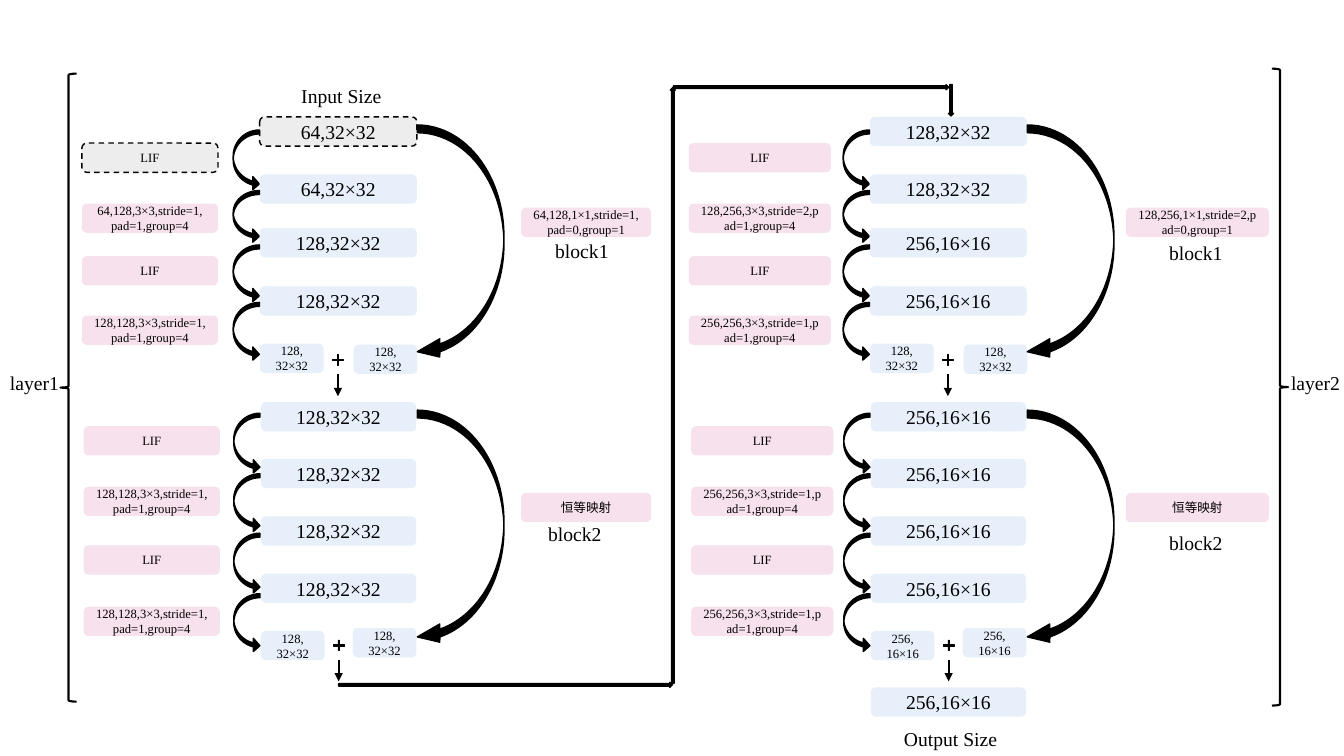
from lxml.etree import SubElement
from pptx import Presentation
from pptx.dml.color import RGBColor
from pptx.enum.dml import MSO_LINE
from pptx.enum.shapes import MSO_CONNECTOR, MSO_SHAPE
from pptx.enum.text import MSO_ANCHOR, PP_ALIGN
from pptx.oxml.ns import qn
from pptx.util import Pt

COLORS = {"state": "E7EFFA", "operation": "F7E1ED", "input": "EDEDED", "ink": "000000"}
LATIN, CHINESE = "Times New Roman", "Noto Sans CJK SC"
BODY, SMALL = 14, 9
BOX_HEIGHT = 20.9

LAYERS = [
    {
        "shift": 0, "operation_width": 97.2, "skip": (372.2, 92.9),
        "blocks": [
            {
                "states": ["64,32×32", "64,32×32", "128,32×32", "128,32×32"],
                "operations": ["LIF", "64,128,3×3,stride=1, pad=1,group=4",
                               "LIF", "128,128,3×3,stride=1,pad=1,group=4"],
                "operation_left": 58.5, "sum": "128, 32×32",
                "skip": "64,128,1×1,stride=1,pad=0,group=1",
                "label": ("block1", 389.5, 167),
            },
            {
                "states": ["128,32×32"] * 4,
                "operations": ["LIF", "128,128,3×3,stride=1,pad=1,group=4"] * 2,
                "operation_left": 59.8, "sum": "128, 32×32", "skip": "恒等映射",
                "label": ("block2", 384.5, 369.4),
            },
        ],
    },
    {
        "shift": 435.7, "operation_width": 101.5, "skip": (804.2, 102.2),
        "blocks": [
            {
                "states": ["128,32×32", "128,32×32", "256,16×16", "256,16×16"],
                "operations": ["LIF", "128,256,3×3,stride=2,pad=1,group=4",
                               "LIF", "256,256,3×3,stride=1,pad=1,group=4"],
                "operation_left": 492, "sum": "128, 32×32",
                "skip": "128,256,1×1,stride=2,pad=0,group=1",
                "label": ("block1", 828, 168.5),
            },
            {
                "states": ["256,16×16"] * 4,
                "operations": ["LIF", "256,256,3×3,stride=1,pad=1,group=4"] * 2,
                "operation_left": 493.7, "sum": "256, 16×16", "skip": "恒等映射",
                "label": ("block2", 828, 375.8),
            },
        ],
    },
]
BLOCK_LAYOUTS = [
    {
        "state": (185.5, 112.3), "state_tops": [83.5, 124.6, 162.9, 204.5],
        "step_left": 166.6, "steps": [(92.9, 43.2), (136.1, 37.4), (175, 41), (216, 41.8)],
        "operation_tops": [102.2, 145.4, 183, 225.4],
        "sums": [(185.8, 245.5), (252.7, 246.2)], "plus": (236.3, 252),
        "down": (241.4, 267.1, 283), "loop_top": 89.3, "skip_top": 148.3,
    },
    {
        "state": (186.4, 110.9), "state_tops": [287.3, 327.8, 368.8, 409.8],
        "step_left": 167, "steps": [(295.2, 43.2), (338.4, 41.8), (380.9, 43.2), (424.1, 41.8)],
        "operation_tops": [304.4, 347.6, 389.5, 433.4],
        "sums": [(186.4, 450.7), (252, 448.6)], "plus": (236.9, 455.8),
        "down": (241.9, 471.6, 486.7), "loop_top": 293, "skip_top": 352.1,
    },
]
ROUTE = [
    (MSO_SHAPE.RIGHT_ARROW, 241.9, 487.4, 238.3, 3.6),
    (MSO_SHAPE.UP_ARROW, 478.8, 62.6, 3.6, 425.5),
    (MSO_SHAPE.RIGHT_ARROW, 481, 60.5, 196.6, 3.6),
    (MSO_SHAPE.DOWN_ARROW, 677.5, 60.5, 3.6, 22.3),
]
BRACES = [
    (MSO_SHAPE.LEFT_BRACE, 43.2, 52.6, 11.5, 448.6),
    (MSO_SHAPE.RIGHT_BRACE, 908.6, 49, 11.5, 455),
]
LABELS = [
    ("Input Size", 208.1, 56.2, 76),
    ("Output Size", 638.6, 515.5, 84.2),
    ("layer1", 0, 261.4, 54.7),
    ("layer2", 915.1, 261.4, 54.7),
]
OUTPUT = ("256,16×16", 622.1, 491, 110.9)

presentation = Presentation()
presentation.slide_width, presentation.slide_height = Pt(960), Pt(540)
slide = presentation.slides.add_slide(presentation.slide_layouts[6])


def color(name):
    return RGBColor.from_string(COLORS[name])


def write(holder, text, size):
    frame = holder.text_frame
    frame.word_wrap = True
    frame.text = text
    run = frame.paragraphs[0].runs[0]
    run.font.size = Pt(size)
    run.font.color.rgb = color("ink")
    typeface = LATIN if "," in text or text.isascii() else CHINESE
    run.font.name = typeface
    SubElement(run.font._element, qn("a:ea"), typeface=typeface)


def add_preset(preset, left, top, width, height, fill="ink", line=1, adjustments=()):
    preset_shape = slide.shapes.add_shape(preset, Pt(left), Pt(top), Pt(width), Pt(height))
    preset_shape.shadow.inherit = False
    if fill:
        preset_shape.fill.solid()
        preset_shape.fill.fore_color.rgb = color(fill)
    else:
        preset_shape.fill.background()
    if line:
        preset_shape.line.color.rgb = color("ink")
        preset_shape.line.width = Pt(line)
    else:
        preset_shape.line.fill.background()
    for index, value in enumerate(adjustments):
        preset_shape.adjustments[index] = value
    return preset_shape


def add_box(text, left, top, width, kind, size):
    is_input = kind == "input"
    box = add_preset(MSO_SHAPE.ROUNDED_RECTANGLE, left, top, width, BOX_HEIGHT,
                     kind, 1 if is_input else 0)
    if is_input:
        box.line.dash_style = MSO_LINE.DASH
    write(box, text, size)
    box.text_frame.vertical_anchor = MSO_ANCHOR.MIDDLE
    box.text_frame.paragraphs[0].alignment = PP_ALIGN.CENTER


def add_label(text, left, top, width=53.3):
    label = slide.shapes.add_textbox(Pt(left), Pt(top), Pt(width), Pt(24.2))
    write(label, text, BODY)


def add_down_arrow(x, top, bottom):
    arrow = slide.shapes.add_connector(MSO_CONNECTOR.STRAIGHT, Pt(x), Pt(top), Pt(x), Pt(bottom))
    arrow.line.color.rgb = color("ink")
    arrow.line.width = Pt(1.5)
    SubElement(arrow.line._get_or_add_ln(), qn("a:tailEnd"), type="triangle")
    SubElement(arrow._element.spPr, qn("a:effectLst"))


def add_block(layer, block, layout, has_input):
    shift = layer["shift"]
    state_left, state_width = layout["state"]
    for row, (state, operation) in enumerate(zip(block["states"], block["operations"])):
        first = has_input and row == 0
        add_box(state, state_left + shift, layout["state_tops"][row], state_width,
                "input" if first else "state", BODY)
        add_box(operation, block["operation_left"], layout["operation_tops"][row],
                layer["operation_width"], "input" if first else "operation", SMALL)
        step_top, step_height = layout["steps"][row]
        add_preset(MSO_SHAPE.CURVED_RIGHT_ARROW, layout["step_left"] + shift, step_top,
                   18.7, step_height, adjustments=(0.15, 0.5, 0.25))
    for left, top in layout["sums"]:
        add_box(block["sum"], left + shift, top, 45.4, "state", SMALL)
    plus_left, plus_top = layout["plus"]
    add_preset(MSO_SHAPE.MATH_PLUS, plus_left + shift, plus_top, 10.1, 10.1,
               line=0.25, adjustments=(0.11,))
    down_x, down_top, down_bottom = layout["down"]
    add_down_arrow(down_x + shift, down_top, down_bottom)
    add_preset(MSO_SHAPE.CURVED_LEFT_ARROW, 298.1 + shift, layout["loop_top"], 61.9, 168.5,
               adjustments=(0.09, 0.21, 0.26))
    skip_left, skip_width = layer["skip"]
    add_box(block["skip"], skip_left, layout["skip_top"], skip_width, "operation", SMALL)
    add_label(*block["label"])


for layer in LAYERS:
    for block, layout in zip(layer["blocks"], BLOCK_LAYOUTS):
        add_block(layer, block, layout, block is LAYERS[0]["blocks"][0])
for segment in ROUTE:
    add_preset(*segment)
for brace in BRACES:
    add_preset(*brace, fill=None, line=1.5)
for label in LABELS:
    add_label(*label)
add_box(*OUTPUT, "state", BODY)

presentation.save("out.pptx")
